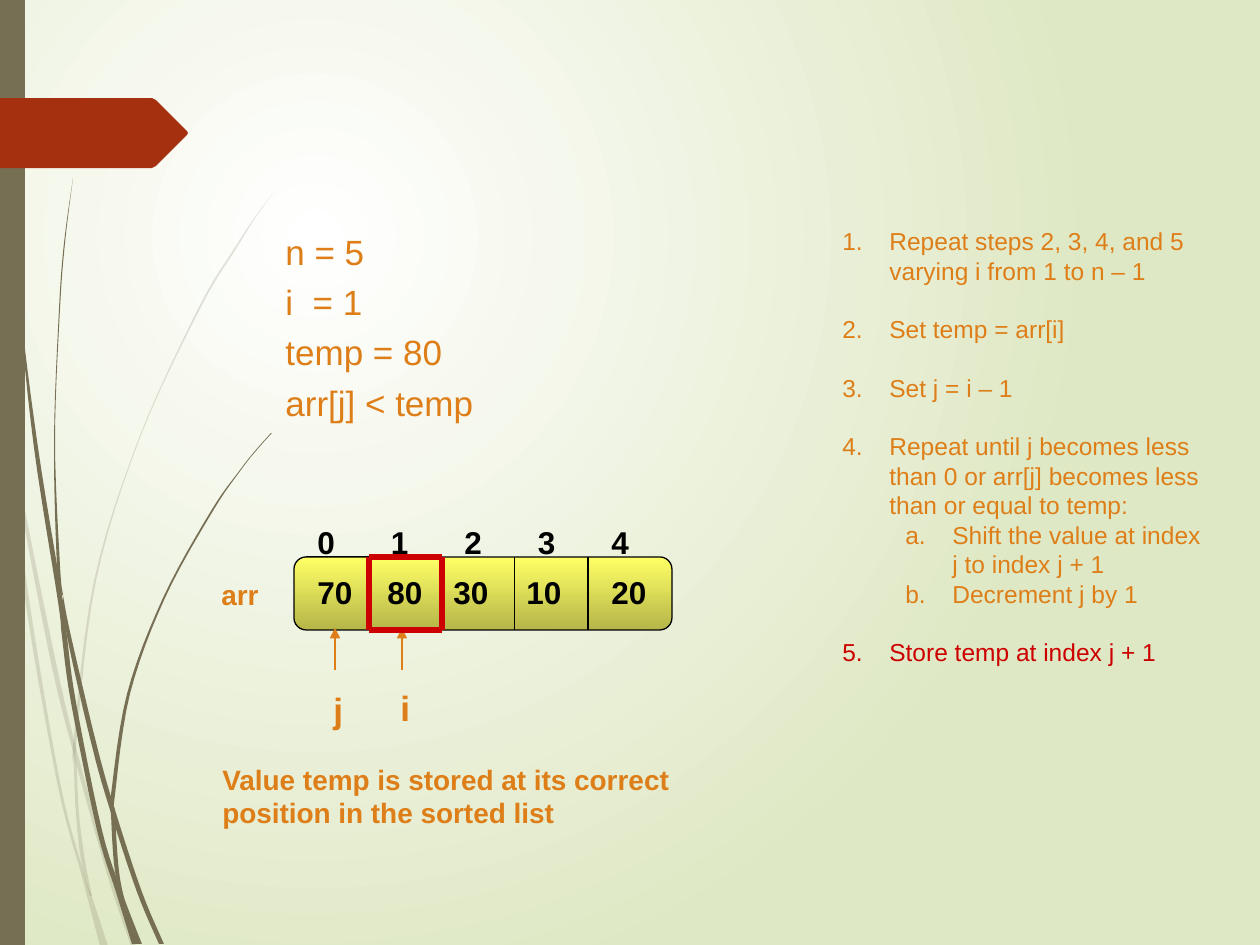
from lxml import etree
from pptx import Presentation
from pptx import util as u
from pptx.dml.color import RGBColor
from pptx.enum import shapes, text
from pptx.oxml.ns import qn

SCALE = 914400 / 126  # EMU in one px
THEME = {
    "font": "Arial", "accent": "DE7E18", "black": "000000", "red": "CC0000",
    "stalk": "766F54", "tag": "A53010", "page": ("FFFFFF", "DFE8C4"),
    "array": ("FFFF66", "B6B649"),
    "large": 20, "label": 18, "note": 16, "step": 14,
}

# Content
STATE = ["n = 5", "i  = 1", "temp = 80", "arr[j] < temp"]
STEPS = [  # level, text, colour
    (0, "Repeat steps 2, 3, 4, and 5 varying i from 1 to n – 1", "accent"),
    (0, "Set temp = arr[i]", "accent"),
    (0, "Set j = i – 1", "accent"),
    (0, "Repeat until j becomes less than 0 or arr[j] becomes less than or equal to temp:", "accent"),
    (1, "Shift the value at index j to index j + 1", "accent"),
    (1, "Decrement j by 1", "accent"),
    (0, "Store temp at index j + 1", "red"),
]
VALUES = [("70", 305), ("80", 375), ("30", 441), ("10", 514), ("20", 599)]  # text, left
POINTERS = [("j", 335, 321, 682), ("i", 402, 388, 680)]  # text, arrow x, label left, top
NOTE = "Value temp is stored at its correct position in the sorted list"
ARRAY = {"left": 294, "top": 557, "width": 378, "height": 73, "pitch": 73.5}

# Grass stalks: rows of (y, left edge, right edge), from top to bottom
PALE_STALKS = [
    [(441, 10, 10), (474, 13, 15), (592, 24, 28), (782, 57, 60), (873, 81, 84),
     (900, 88, 93), (946, 100, 108)],
    [(435, 13, 13), (474, 15, 18), (658, 50, 55), (755, 74, 78), (874, 107, 112),
     (946, 131, 136)],
    [(193, 273, 273), (220, 253, 254), (249, 234, 236), (307, 199, 201), (438, 139, 140),
     (581, 94, 96), (736, 74, 77), (768, 74, 77), (814, 76, 79), (860, 81, 85), (896, 90, 92)],
]
DARK_STALKS = [
    [(0, 3, 4), (137, 6, 8), (293, 18, 19), (447, 34, 38), (601, 58, 63), (636, 62, 67),
     (702, 71, 76), (830, 97, 102), (892, 116, 122), (944, 132, 142)],
    [(595, 63, 63), (636, 67, 71), (746, 92, 97), (813, 111, 116), (892, 137, 142),
     (944, 159, 164)],
    [(178, 73, 73), (243, 64, 65), (309, 59, 60), (440, 54, 55), (566, 57, 60), (595, 62, 63)],
    [(433, 271, 272), (451, 255, 256), (470, 240, 241), (511, 211, 213), (598, 163, 165),
     (694, 127, 130), (795, 111, 115), (813, 111, 115), (871, 115, 119), (906, 126, 126)],
]
TAG = [(0, 98), (152, 98), (156, 100), (187, 131), (188, 133), (187, 135), (156, 166),
       (152, 168), (0, 168)]


def px(value):
    return u.Emu(round(value * SCALE))


def color(name):
    return RGBColor.from_string(THEME.get(name, name))


def format_font(paragraph, **values):
    values = {"name": THEME["font"], **values}
    paragraph.font.color.rgb = color(values.pop("color"))
    for name, value in values.items():
        setattr(paragraph.font, name, value)


def gradient(fill, colors):
    fill.gradient()
    for stop, value, position in zip(fill.gradient_stops, colors, (0, 1)):
        stop.color.rgb = color(value)
        stop.position = position


def add_text(slide, box, lines, size, ink, bold=False, wrap=True):
    frame = slide.shapes.add_textbox(*map(px, box)).text_frame
    frame.word_wrap = wrap
    for number, line in enumerate(lines):
        paragraph = frame.paragraphs[0] if number == 0 else frame.add_paragraph()
        paragraph.text = line
        format_font(paragraph, size=u.Pt(THEME[size]), color=ink, bold=bold)
    return frame


def add_line(slide, start, end, ink, width=0.75, arrow=False):
    line = slide.shapes.add_connector(shapes.MSO_CONNECTOR.STRAIGHT, *map(px, start + end))
    line.line.color.rgb = color(ink)
    line.line.width = u.Pt(width)
    if arrow:
        etree.SubElement(line.line._get_or_add_ln(), qn("a:tailEnd"), type="triangle")
    etree.SubElement(line._element.spPr, qn("a:effectLst"))


def paint(shape, ink, alpha=None):
    shape.shadow.inherit = False
    shape.fill.solid()
    shape.fill.fore_color.rgb = color(ink)
    shape.line.fill.background()
    if alpha:
        solid = shape._element.spPr.find(qn("a:solidFill"))
        etree.SubElement(solid[0], qn("a:alpha"), val=str(alpha * 1000))


def add_outline(slide, points, ink, alpha=None):
    points = [(px(x), px(y)) for x, y in points]
    builder = slide.shapes.build_freeform(*points[0])
    builder.add_line_segments(points[1:], close=True)
    paint(builder.convert_to_shape(), ink, alpha)


def smooth(rows, samples=6):
    """Pass a Catmull-Rom curve through the rows."""
    padded = [rows[0], *rows, rows[-1]]
    result = []
    for a, b, c, d in zip(padded, padded[1:], padded[2:], padded[3:]):
        for step in range(samples):
            t = step / samples
            result.append([
                (2 * q + (r - p) * t + (2 * p - 5 * q + 4 * r - s) * t ** 2
                 + (3 * q - p - 3 * r + s) * t ** 3) / 2
                for p, q, r, s in zip(a, b, c, d)])
    return result + [rows[-1]]


def add_backdrop(slide):
    fill = slide.background.fill
    gradient(fill, THEME["page"])
    element = slide._element.find(".//" + qn("a:gradFill"))
    element.remove(element.find(qn("a:lin")))
    circle = etree.SubElement(element, qn("a:path"), path="circle")
    etree.SubElement(circle, qn("a:fillToRect"), l="50000", t="50000", r="100000", b="100000")
    for stalks, alpha in ((PALE_STALKS, 20), (DARK_STALKS, None)):
        for stalk in stalks:
            rows = smooth(stalk)
            edges = [(left, y) for y, left, _ in rows] + [(right, y) for y, _, right in rows[::-1]]
            add_outline(slide, edges, "stalk", alpha)
    band = slide.shapes.add_shape(shapes.MSO_SHAPE.RECTANGLE, *map(px, (0, 0, 25, 945)))
    paint(band, "stalk")
    add_outline(slide, TAG, "tag")


def add_array(slide):
    left, top, width, height, pitch = ARRAY.values()
    bottom = top + height
    bar = slide.shapes.add_shape(shapes.MSO_SHAPE.ROUNDED_RECTANGLE,
                                 *map(px, (left, top, width, height)))
    bar.adjustments[0] = 0.167
    bar.shadow.inherit = False
    gradient(bar.fill, THEME["array"])
    bar.fill.gradient_angle = 270
    bar.line.color.rgb = color("black")
    bar.line.width = u.Pt(0.75)
    for index, (value, value_left) in enumerate(VALUES):
        x = left + index * pitch
        add_text(slide, (x + 11, 517, 43, 50), [str(index)], "label", "black", True, False)
        if index:
            add_line(slide, (x, top), (x, bottom), "black")
        add_text(slide, (value_left, 567, 64, 50), [value], "label", "black", True)
    add_text(slide, (209, 571, 63, 47), ["arr"], "note", "accent", True, False)
    for name, x, label_left, label_top in POINTERS:
        add_line(slide, (x, 670), (x, 628), "accent", arrow=True)
        add_text(slide, (label_left, label_top, 35, 54), [name], "large", "accent", True, False)
    # Frame round the cell that receives temp
    corners = [(369, top), (442, top), (442, bottom), (369, bottom)]
    for start, end in zip(corners, corners[1:] + corners[:1]):
        add_line(slide, start, end, "red", 3)


def add_steps(slide):
    frame = add_text(slide, (830, 220, 388, 541), [line for _, line, _ in STEPS], "step", "accent")
    for number, (paragraph, (level, _, ink)) in enumerate(zip(frame.paragraphs, STEPS)):
        paragraph.level = level
        if number and level == 0:
            paragraph.space_before = u.Pt(16.7)
        properties = paragraph._p.get_or_add_pPr()
        properties.set("marL", str(px(47 + 63 * level)))
        properties.set("indent", str(px(-47)))
        bullet = etree.Element(qn("a:buAutoNum"), type=("arabicPeriod", "alphaLcPeriod")[level])
        properties.insert_element_before(bullet, "a:tabLst", "a:defRPr", "a:extLst")
        for run in paragraph.runs:
            format_font(run, size=u.Pt(THEME["step"]), color=ink)


def main():
    presentation = Presentation()
    presentation.slide_width, presentation.slide_height = px(1260), px(945)
    slide = presentation.slides.add_slide(presentation.slide_layouts[6])
    add_backdrop(slide)
    state = add_text(slide, (273, 224, 536, 658), STATE, "large", "accent")
    for paragraph in state.paragraphs[1:]:
        paragraph.space_before = u.Pt(4.8)
    add_array(slide)
    add_text(slide, (210, 756, 567, 81), [NOTE], "note", "accent", True)
    add_steps(slide)
    presentation.save("out.pptx")


if __name__ == "__main__":
    main()
